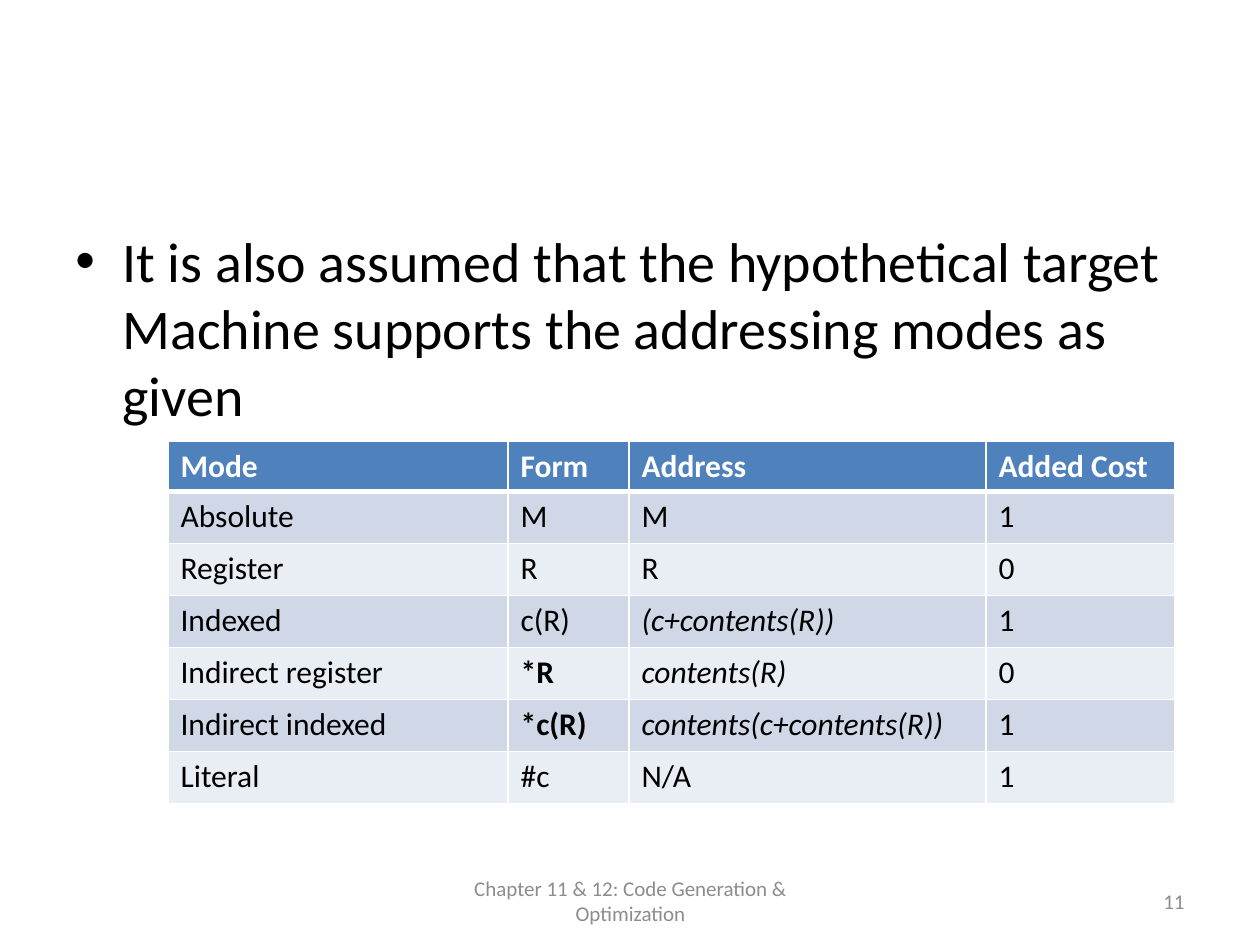
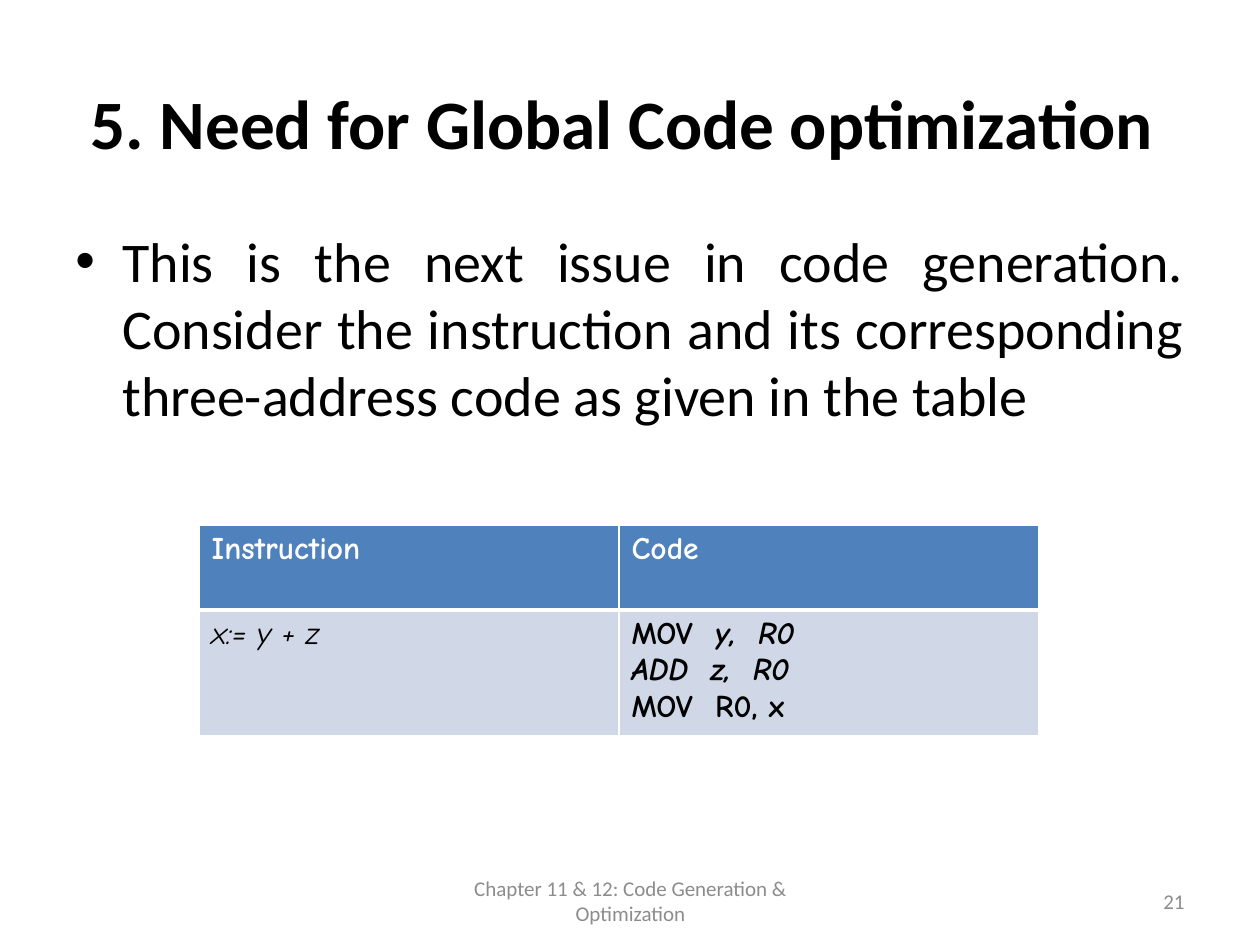
import pptx
import pptx.dml.color
import pptx.enum.text
import pptx.oxml.ns
import pptx.util
from lxml import etree

ALIGN = pptx.enum.text.PP_ALIGN
ANCHOR = pptx.enum.text.MSO_ANCHOR
EMU_PER_PX = 914400 / 126

# Shared look
BLACK, WHITE, GREY = "000000", "FFFFFF", "8C8C8C"
HEADER_FILL = "4F81BD"
BAND_FILLS = ("D0D8E8", "E9EDF4")
FONT = "Calibri"
TITLE_BOX = (63, 38, 1134, 157)
BODY_BOX = (63, 220, 1134, 624)
FOOTER_BOX = (431, 876, 399, 50)
NUMBER_BOX = (903, 876, 294, 50)
HANGING = 47
FOOTER = "Chapter 11 & 12: Code Generation & Optimization"

# Content: a cell is plain text, or lines made of (text, style) runs; b = bold, i = italic
SLIDES = [
    {
        "number": "11",
        "title": None,
        "body": "It is also assumed that the hypothetical target Machine supports "
                "the addressing modes as given",
        "align": ALIGN.LEFT,
        "table": {
            "origin": (168, 441),
            "font": FONT,
            "columns": (340, 121, 357, 189),
            "heights": (50,) + (52,) * 6,
            "rows": [
                ("Mode", "Form", "Address", "Added Cost"),
                ("Absolute", "M", "M", "1"),
                ("Register", "R", "R", "0"),
                ("Indexed", "c(R)", [[("(c+contents(R))", "i")]], "1"),
                ("Indirect register", [[("*R", "b")]], [[("contents(R)", "i")]], "0"),
                ("Indirect indexed", [[("*c(R)", "b")]],
                 [[("contents(c+contents(R))", "i")]], "1"),
                ("Literal", "#c", "N/A", "1"),
            ],
        },
    },
    {
        "number": "21",
        "title": "5. Need for Global Code optimization",
        "body": "This is the next issue in code generation. Consider the instruction and "
                "its corresponding three-address code as given in the table",
        "align": ALIGN.JUSTIFY,
        "table": {
            "origin": (199, 525),
            "font": "Comic Neue",
            "columns": (420, 420),
            "heights": (85, 120),
            "rows": [
                ("Instruction", "Code"),
                ([[("x:= y + z", "i")]],
                 [[("MOV  ", "b"), ("y,  R0", "bi")],
                  [("ADD  z,  R0", "bi")],
                  [("MOV  R0, x", "b")]]),
            ],
        },
    },
]


def px(length):
    return pptx.util.Emu(round(length * EMU_PER_PX))


def color(value):
    return pptx.dml.color.RGBColor.from_string(value)


def format_run(run, size, fill, font=FONT, style=""):
    run.font.size = pptx.util.Pt(size)
    run.font.name = font
    run.font.color.rgb = color(fill)
    run.font.bold = "b" in style
    run.font.italic = "i" in style


def add_text(slide, box, text, size, fill=BLACK, align=ALIGN.LEFT,
             anchor=ANCHOR.MIDDLE, style=""):
    text_frame = slide.shapes.add_textbox(*map(px, box)).text_frame
    text_frame.word_wrap = True
    text_frame.vertical_anchor = anchor
    text_frame.text = text
    paragraph = text_frame.paragraphs[0]
    paragraph.alignment = align
    format_run(paragraph.runs[0], size, fill, style=style)
    return text_frame


def add_title(slide, text):
    text_frame = add_text(slide, TITLE_BOX, text, 39.6, align=ALIGN.CENTER, style="b")
    text_frame.margin_top = px(16)
    text_frame.margin_right = px(28)


def add_body(slide, text, align):
    text_frame = add_text(slide, BODY_BOX, text, 32, align=align, anchor=ANCHOR.TOP)
    paragraph = text_frame.paragraphs[0]
    paragraph.space_before = pptx.util.Pt(3)
    properties = paragraph._p.get_or_add_pPr()
    properties.set("marL", str(px(HANGING)))
    properties.set("indent", str(-px(HANGING)))
    qn = pptx.oxml.ns.qn
    etree.SubElement(properties, qn("a:buFont")).set("typeface", "Arial")
    etree.SubElement(properties, qn("a:buChar")).set("char", "•")


def set_borders(cell, widths):
    qn = pptx.oxml.ns.qn
    properties = cell._tc.get_or_add_tcPr()
    for side, width in widths.items():
        line = etree.SubElement(properties, qn("a:ln" + side))
        line.set("w", str(pptx.util.Pt(width)))
        fill = etree.SubElement(line, qn("a:solidFill"))
        etree.SubElement(fill, qn("a:srgbClr")).set("val", WHITE)


def fill_cell(cell, content, row, font):
    header = row == 0
    # The rule between header and body is thicker than the grid
    set_borders(cell, {"L": 1, "R": 1, "T": 3 if row == 1 else 1, "B": 3 if header else 1})
    cell.fill.solid()
    cell.fill.fore_color.rgb = color(HEADER_FILL if header else BAND_FILLS[(row - 1) % 2])
    if isinstance(content, str):
        content = [[(content, "b" if header else "")]]
    for index, line in enumerate(content):
        text_frame = cell.text_frame
        paragraph = text_frame.add_paragraph() if index else text_frame.paragraphs[0]
        for text, style in line:
            run = paragraph.add_run()
            run.text = text
            format_run(run, 18, WHITE if header else BLACK, font, style)


def add_table(slide, data):
    columns, heights, rows = data["columns"], data["heights"], data["rows"]
    box = (*data["origin"], sum(columns), sum(heights))
    table = slide.shapes.add_table(len(rows), len(columns), *map(px, box)).table
    for column, width in zip(table.columns, columns):
        column.width = px(width)
    for row, height in zip(table.rows, heights):
        row.height = px(height)
    for row, contents in enumerate(rows):
        for column, content in enumerate(contents):
            fill_cell(table.cell(row, column), content, row, data["font"])


def main():
    presentation = pptx.Presentation()
    presentation.slide_width, presentation.slide_height = px(1260), px(945)
    for content in SLIDES:
        slide = presentation.slides.add_slide(presentation.slide_layouts[6])
        if content["title"]:
            add_title(slide, content["title"])
        add_body(slide, content["body"], content["align"])
        add_table(slide, content["table"])
        # Footer and slide number
        add_text(slide, NUMBER_BOX, content["number"], 12, GREY, ALIGN.RIGHT)
        add_text(slide, FOOTER_BOX, FOOTER, 12, GREY, ALIGN.CENTER)
    presentation.save("out.pptx")


if __name__ == "__main__":
    main()
